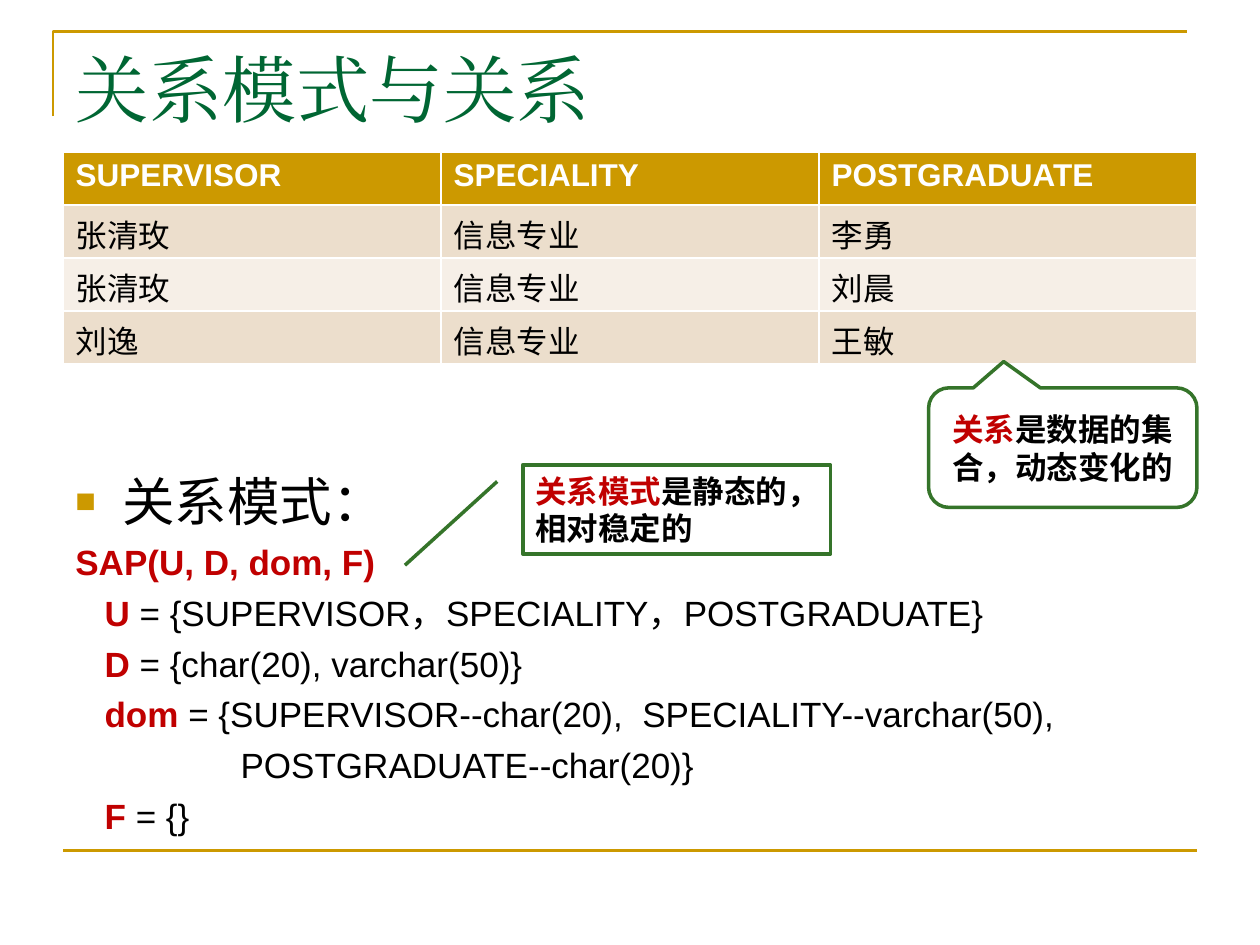
import pptx
import pptx.util
import pptx.dml.color
import pptx.enum.shapes
import pptx.enum.text
import pptx.oxml
import pptx.oxml.ns

Cm = pptx.util.Cm
Pt = pptx.util.Pt
SHAPES = pptx.enum.shapes.MSO_SHAPE
ANCHOR = pptx.enum.text.MSO_ANCHOR
ALIGN = pptx.enum.text.PP_ALIGN

COLORS = {
    "gold": "CC9900", "title": "006633", "red": "C00000", "black": "000000",
    "white": "FFFFFF", "green": "35742A", "band_dark": "ECDECC", "band_light": "F6EFE7",
}
STYLES = {
    "title": {"size": Pt(42), "name": "TeX Gyre Pagella"},
    "heading": {"size": Pt(30), "name": "Arial", "bold": False},
    "key": {"size": Pt(20), "name": "Arial", "bold": True},
    "plain": {"size": Pt(20), "name": "Arial", "bold": False},
    "callout": {"size": Pt(18), "name": "Arial", "bold": True},
    "table_head": {"size": Pt(18), "name": "Arial", "bold": True},
    "table_body": {"size": Pt(18), "name": "Arial", "bold": False},
}

TITLE = "关系模式与关系"
TABLE_ROWS = [
    ("SUPERVISOR", "SPECIALITY", "POSTGRADUATE"),
    ("张清玫", "信息专业", "李勇"),
    ("张清玫", "信息专业", "刘晨"),
    ("刘逸", "信息专业", "王敏"),
]
HEADING = "关系模式："
SCHEMA_LINES = [
    (0, "SAP(U, D, dom, F)", ""),
    (0.59, "U", " = {SUPERVISOR，SPECIALITY，POSTGRADUATE}"),
    (0.59, "D", " = {char(20), varchar(50)}"),
    (0.59, "dom", " = {SUPERVISOR--char(20),  SPECIALITY--varchar(50),"),
    (3.33, "", "POSTGRADUATE--char(20)}"),
    (0.59, "F", " = {}"),
]
CALLOUTS = [
    {"kind": SHAPES.ROUNDED_RECTANGULAR_CALLOUT, "box": (18.72, 7.82, 5.41, 2.41),
     "adjustments": (-0.22, -0.72, 0.17), "align": ALIGN.CENTER,
     "key": "关系", "rest": "是数据的集合，动态变化的"},
    {"kind": SHAPES.LINE_CALLOUT_1, "box": (10.54, 9.37, 6.2, 1.8),
     "adjustments": (), "align": ALIGN.LEFT,
     "key": "关系模式", "rest": "是静态的，相对稳定的"},
]
TITLE_BOX = (1.27, 0.76, 22.86, 3.18)
TABLE_BOX = (1.27, 3.06, 22.86, 4.28)
SCHEMA_BOX = (1.27, 9.33, 22.86, 7.82)
FRAME_POINTS = [(1.07, 2.34), (1.07, 0.64), (23.93, 0.64)]
FOOTER_LINE = (1.27, 17.15, 24.13, 17.15)


def color(name):
    return pptx.dml.color.RGBColor.from_string(COLORS[name])


def lengths(values):
    return [Cm(value) for value in values]


def add_run(paragraph, text, style, color_name, east_asian=True):
    if not text:
        return
    run = paragraph.add_run()
    run.text = text
    for attribute, value in STYLES[style].items():
        setattr(run.font, attribute, value)
    run.font.color.rgb = color(color_name)
    if east_asian:
        latin = run.font._element.find(pptx.oxml.ns.qn("a:latin"))
        typeface = pptx.oxml.parse_xml(
            '<a:ea %s typeface="%s"/>' % (pptx.oxml.ns.nsdecls("a"), STYLES[style]["name"]))
        latin.addnext(typeface)


def set_line(shape, color_name, width):
    shape.line.color.rgb = color(color_name)
    shape.line.width = Pt(width)


def set_indent(paragraph, left, first=0):
    properties = paragraph._p.get_or_add_pPr()
    for attribute, value in {"marL": left, "indent": first}.items():
        properties.set(attribute, str(int(Cm(value))))
    return properties


presentation = pptx.Presentation()
presentation.slide_width, presentation.slide_height = lengths((25.4, 19.05))
slide = presentation.slides.add_slide(presentation.slide_layouts[5])

builder = slide.shapes.build_freeform(*lengths(FRAME_POINTS[0]), scale=1.0)
builder.add_line_segments([lengths(point) for point in FRAME_POINTS[1:]], close=False)
frame = builder.convert_to_shape()
frame.shadow.inherit = False
frame.fill.background()
set_line(frame, "gold", 1.5)

footer = slide.shapes.add_connector(
    pptx.enum.shapes.MSO_CONNECTOR.STRAIGHT, *lengths(FOOTER_LINE))
set_line(footer, "gold", 1.5)
footer._element.spPr.append(
    pptx.oxml.parse_xml("<a:effectLst %s/>" % pptx.oxml.ns.nsdecls("a")))

title = slide.shapes.title
for attribute, value in zip(("left", "top", "width", "height"), lengths(TITLE_BOX)):
    setattr(title, attribute, value)
title.text_frame.vertical_anchor = ANCHOR.TOP
title_paragraph = title.text_frame.paragraphs[0]
title_paragraph.alignment = ALIGN.LEFT
add_run(title_paragraph, TITLE, "title", "title")

schema = slide.shapes.add_textbox(*lengths(SCHEMA_BOX)).text_frame
schema.word_wrap = True
heading = schema.paragraphs[0]
heading_properties = set_indent(heading, 0.95, -0.95)
for tag, attributes in (
        ("buClr", '><a:srgbClr val="%s"/></a:buClr>' % COLORS["gold"]),
        ("buSzPct", ' val="65000"/>'),
        ("buFont", ' typeface="Arial"/>'),
        ("buChar", ' char="■"/>')):
    heading_properties.append(pptx.oxml.parse_xml(
        "<a:%s %s%s" % (tag, pptx.oxml.ns.nsdecls("a"), attributes)))
add_run(heading, HEADING, "heading", "black")
for indent, key, rest in SCHEMA_LINES:
    paragraph = schema.add_paragraph()
    set_indent(paragraph, indent)
    paragraph.space_before = Pt(5)
    add_run(paragraph, key, "key", "red")
    add_run(paragraph, rest, "plain", "black")

table = slide.shapes.add_table(len(TABLE_ROWS), len(TABLE_ROWS[0]), *lengths(TABLE_BOX)).table
for row_index, texts in enumerate(TABLE_ROWS):
    if row_index == 0:
        style, text_color, fill = "table_head", "white", "gold"
    else:
        style, text_color = "table_body", "black"
        fill = "band_dark" if row_index % 2 else "band_light"
    for column_index, text in enumerate(texts):
        cell = table.cell(row_index, column_index)
        cell.fill.solid()
        cell.fill.fore_color.rgb = color(fill)
        add_run(cell.text_frame.paragraphs[0], text, style, text_color, east_asian=False)

for callout in CALLOUTS:
    shape = slide.shapes.add_shape(callout["kind"], *lengths(callout["box"]))
    for index, value in enumerate(callout["adjustments"]):
        shape.adjustments[index] = value
    shape.shadow.inherit = False
    shape.fill.solid()
    shape.fill.fore_color.rgb = color("white")
    set_line(shape, "green", 2)
    shape.text_frame.word_wrap = True
    shape.text_frame.vertical_anchor = ANCHOR.MIDDLE
    paragraph = shape.text_frame.paragraphs[0]
    paragraph.alignment = callout["align"]
    add_run(paragraph, callout["key"], "callout", "red")
    add_run(paragraph, callout["rest"], "callout", "black")

presentation.save("out.pptx")
